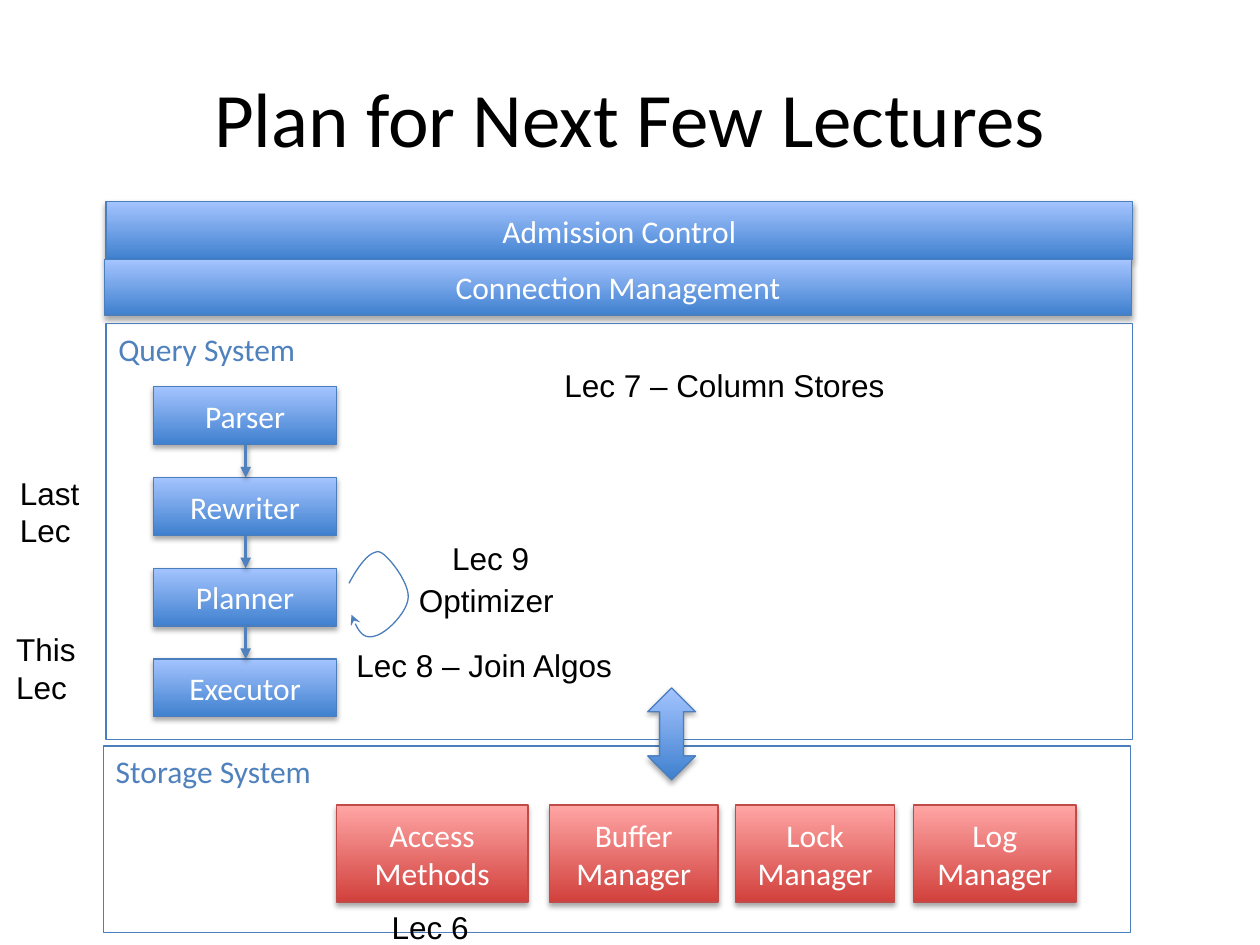
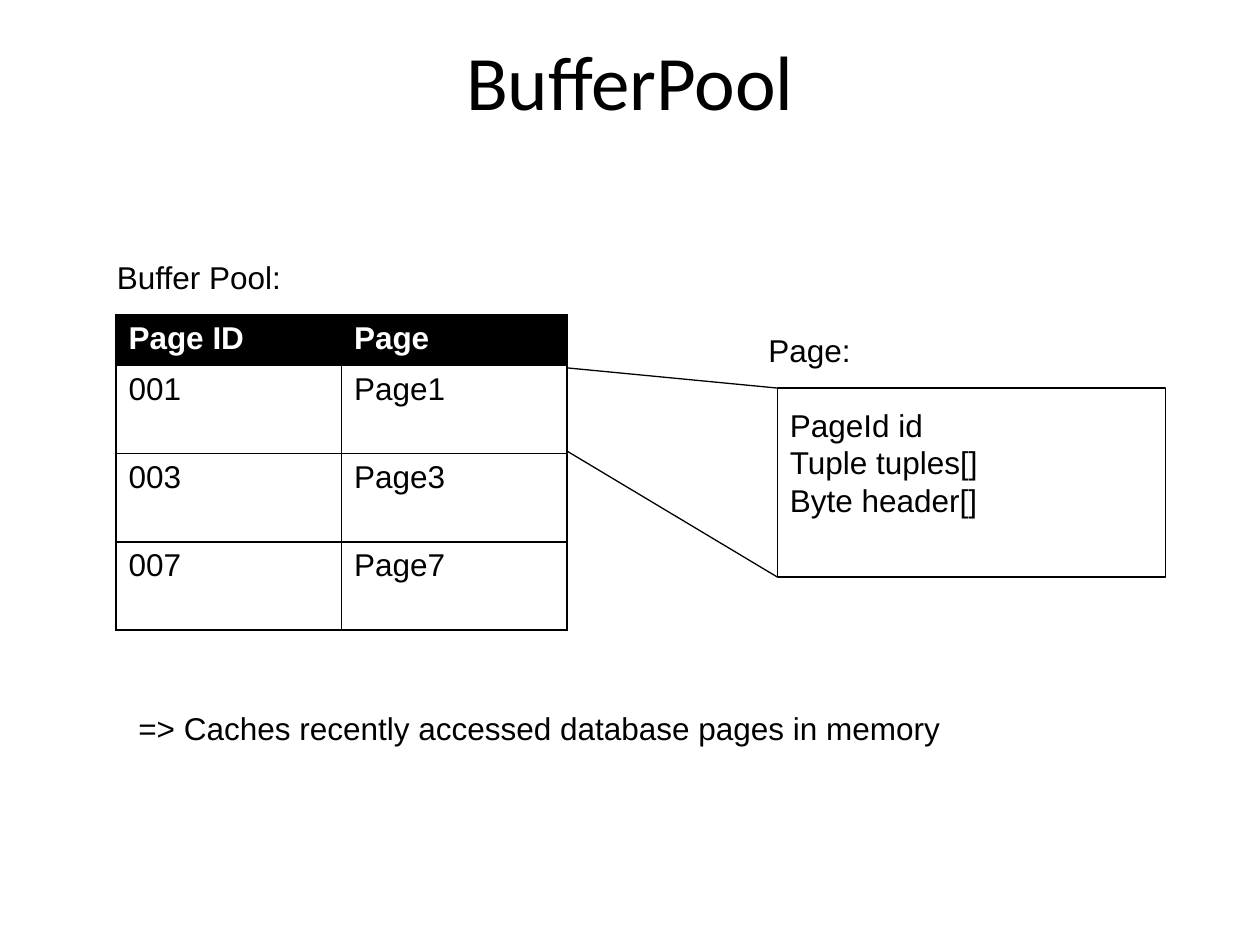
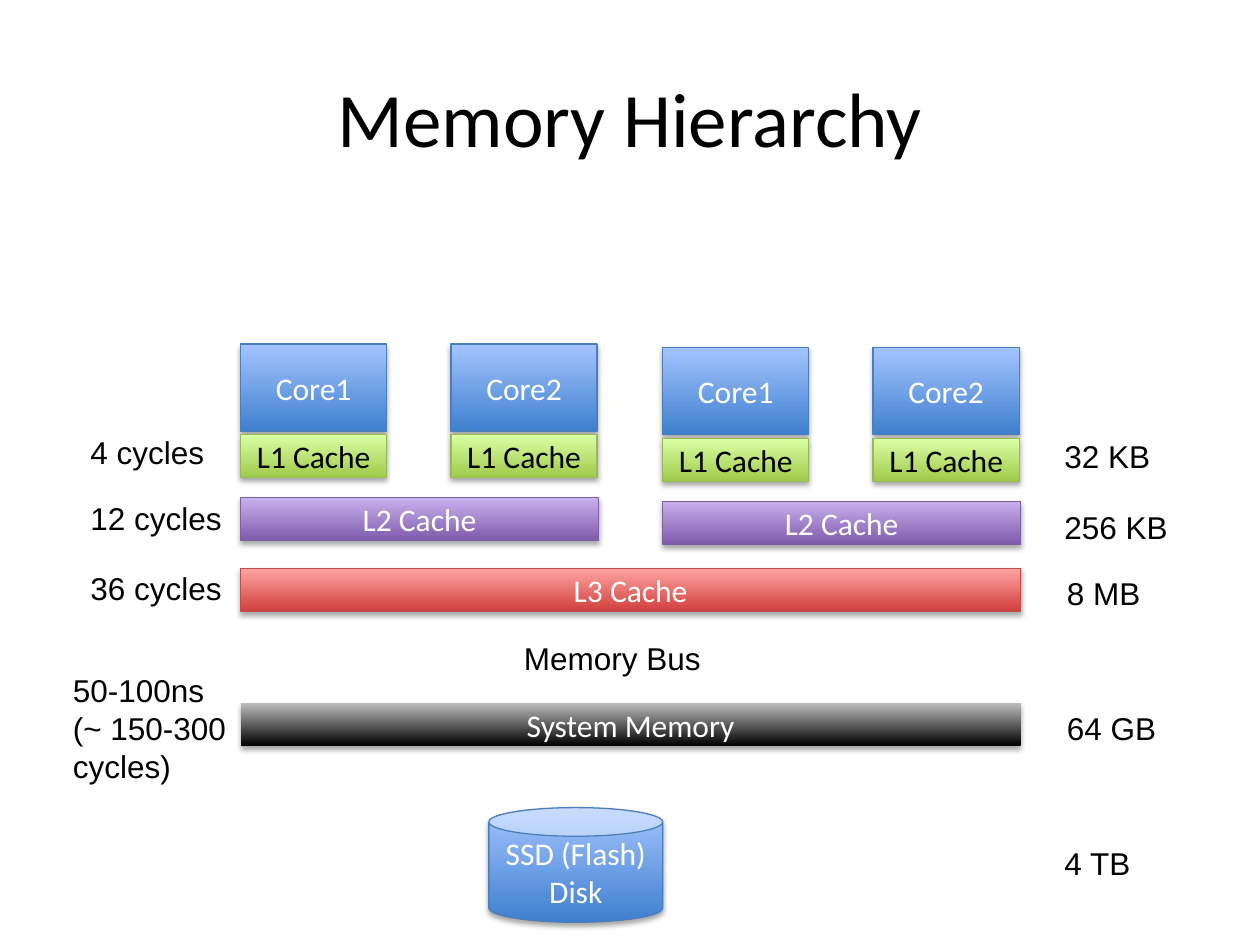
import dataclasses
import typing

import lxml.etree
import pptx
import pptx.dml.color
import pptx.enum.shapes
import pptx.enum.text
import pptx.oxml.ns
import pptx.util

Inches = pptx.util.Inches
Pt = pptx.util.Pt
Shapes = pptx.enum.shapes.MSO_SHAPE
Align = pptx.enum.text.PP_ALIGN
Anchor = pptx.enum.text.MSO_ANCHOR
AutoSize = pptx.enum.text.MSO_AUTO_SIZE

COLOURS = {
    "black": "000000", "white": "FFFFFF", "accent": "4F81BD",
    "blue line": "4B7EBC", "blue dark": "3F80CE", "blue light": "A4C4FF",
    "red line": "BF4C48", "red dark": "D1403C", "red light": "FFA6A5",
    "green line": "98B955", "green dark": "A0CA4A", "green light": "DAFFA5",
    "purple line": "7D60A0", "purple dark": "7F5BAB", "purple light": "C8B0ED",
    "grey dark": "000000", "grey light": "BDBDBD",
}
TITLE = {"name": "Calibri", "size": Pt(44)}
BLOCK = {"name": "Calibri", "size": Pt(18)}
LABEL = {"name": "Arial", "size": Pt(18)}
HEADER = {**LABEL, "bold": True}


@dataclasses.dataclass
class Block:
    text: str
    left: float
    top: float
    width: float
    height: float
    hue: str = "blue"
    font_colour: str = "white"
    kind: typing.Any = Shapes.RECTANGLE


@dataclasses.dataclass
class Frame:
    text: str
    left: float
    top: float
    width: float
    height: float
    line: str = "blue line"


@dataclasses.dataclass
class Label:
    text: str
    left: float
    top: float
    width: float
    height: float = 0.4
    wrap: bool = True
    align: typing.Any = Align.LEFT


@dataclasses.dataclass
class Line:
    start: tuple[float, float]
    end: tuple[float, float]
    colour: str = "black"
    width: float = 0.75
    arrow: bool = False


def rgb(name: str):
    return pptx.dml.color.RGBColor.from_string(COLOURS[name])


def assign(target, values: dict) -> None:
    for name, value in values.items():
        setattr(target, name, value)


def add_child(parent, tag: str, **attributes: str):
    return lxml.etree.SubElement(parent, pptx.oxml.ns.qn(tag), attributes)


def write(frame, text: str, font: dict, colour: str, align=Align.LEFT, spacing: float = 1.0) -> None:
    for index, line in enumerate(text.split("\n")):
        para = frame.add_paragraph() if index else frame.paragraphs[0]
        assign(para, {"alignment": align, "line_spacing": spacing})
        span = para.add_run()
        span.text = line
        assign(span.font, font)
        span.font.color.rgb = rgb(colour)


def set_line(line, colour: str, width: float, tail: str = "") -> None:
    line.color.rgb = rgb(colour)
    line.width = Pt(width)
    if tail:
        add_child(line._get_or_add_ln(), "a:tailEnd", type=tail)


def add_shadow(effects, alpha: int, distance: float) -> None:
    shadow = add_child(effects, "a:outerShdw", blurRad=str(Pt(3.1)), dist=str(Pt(distance)),
                       dir="5400000", rotWithShape="0")
    colour = add_child(shadow, "a:srgbClr", val=COLOURS["black"])
    add_child(colour, "a:alpha", val=str(alpha * 1000))


def add_outline(page, kind, item: Block | Frame):
    shape = page.shapes.add_shape(kind, *map(Inches, (item.left, item.top, item.width, item.height)))
    shape.shadow.inherit = False
    shape.text_frame.word_wrap = True
    return shape


def draw_block(page, block: Block) -> None:
    shape = add_outline(page, block.kind, block)
    shape.fill.gradient()
    shape.fill.gradient_angle = 90
    for stop, shade in zip(shape.fill.gradient_stops, ("dark", "light")):
        stop.color.rgb = rgb(f"{block.hue} {shade}")
    if f"{block.hue} line" in COLOURS:
        set_line(shape.line, f"{block.hue} line", 0.75)
    else:
        shape.line.fill.background()
    add_shadow(shape._element.spPr.find(pptx.oxml.ns.qn("a:effectLst")), 35, 1.8)
    shape.text_frame.vertical_anchor = Anchor.MIDDLE
    if block.text:
        write(shape.text_frame, block.text, BLOCK, block.font_colour, Align.CENTER)


def draw_frame(page, frame: Frame) -> None:
    shape = add_outline(page, Shapes.RECTANGLE, frame)
    shape.fill.background()
    set_line(shape.line, frame.line, 0.75)
    shape.text_frame.vertical_anchor = Anchor.TOP
    if frame.text:
        write(shape.text_frame, frame.text, BLOCK, "accent")


def draw_label(page, label: Label) -> None:
    box = page.shapes.add_textbox(*map(Inches, (label.left, label.top, label.width, label.height)))
    assign(box.text_frame, {"word_wrap": label.wrap, "auto_size": AutoSize.SHAPE_TO_FIT_TEXT})
    write(box.text_frame, label.text, LABEL, "black", label.align)


def draw_line(page, line: Line) -> None:
    connector = page.shapes.add_connector(pptx.enum.shapes.MSO_CONNECTOR.STRAIGHT,
                                          *map(Inches, (*line.start, *line.end)))
    set_line(connector.line, line.colour, line.width, "triangle" if line.arrow else "")
    effects = add_child(connector._element.spPr, "a:effectLst")
    if line.arrow:
        add_shadow(effects, 38, 1.6)


def draw_all(page, items: list) -> None:
    painters = {Block: draw_block, Frame: draw_frame, Label: draw_label, Line: draw_line}
    for item in items:
        painters[type(item)](page, item)


def add_page(deck, title: str, left: float = 0.5, top: float = 0.3, width: float = 9,
             height: float = 1.25, spacing: float = 1.0):
    page = deck.slides.add_slide(deck.slide_layouts[6])
    box = page.shapes.add_textbox(*map(Inches, (left, top, width, height)))
    assign(box.text_frame, {"word_wrap": True, "vertical_anchor": Anchor.MIDDLE})
    write(box.text_frame, title, TITLE, "black", Align.CENTER, spacing)
    return page


def bezier(points: tuple, share: float) -> tuple[int, int]:
    rest = 1 - share
    weights = (rest**3, 3 * rest**2 * share, 3 * rest * share**2, share**3)
    return tuple(Inches(sum(weight * point[axis] for weight, point in zip(weights, points)))
                 for axis in (0, 1))


def draw_planner_loop(page) -> None:
    knots = [(2.77, 4.63), (2.84, 4.5), (2.93, 4.37), (3.01, 4.38), (3.08, 4.4), (3.25, 4.63),
             (3.24, 4.74), (3.24, 4.85), (3.07, 5.03), (2.97, 5.05), (2.87, 5.08), (2.83, 4.98),
             (2.79, 4.88)]
    steps = 12
    curve = [bezier(knots[first:first + 4], step / steps)
             for first in range(0, len(knots) - 1, 3) for step in range(1, steps + 1)]
    builder = page.shapes.build_freeform(*map(Inches, knots[0]))
    builder.add_line_segments(curve, close=False)
    loop = builder.convert_to_shape()
    loop.shadow.inherit = False
    loop.fill.background()
    set_line(loop.line, "blue line", 0.75, "stealth")


def draw_table(page, rows: list[tuple[str, str]]) -> None:
    table = page.shapes.add_table(len(rows), 2, *map(Inches, (0.92, 2.5, 3.58, 2.5))).table
    for column in table.columns:
        column.width = Inches(1.79)
    for row_index, texts in enumerate(rows):
        header = row_index == 0
        table.rows[row_index].height = Inches(0.4 if header else 0.7)
        for column_index, text in enumerate(texts):
            cell = table.cell(row_index, column_index)
            properties = cell._tc.get_or_add_tcPr()
            for side in "LRTB":
                border = add_child(properties, f"a:ln{side}", w=str(Pt(1)))
                add_child(add_child(border, "a:solidFill"), "a:srgbClr", val=COLOURS["black"])
            cell.fill.solid()
            cell.fill.fore_color.rgb = rgb("black" if header else "white")
            write(cell.text_frame, text, HEADER if header else LABEL, "white" if header else "black")


def build_plan(deck) -> None:
    page = add_page(deck, "Plan for Next Few Lectures")
    draw_all(page, [
        Block("Admission Control", 0.84, 1.6, 8.15, 0.46),
        Block("Connection Management", 0.83, 2.06, 8.15, 0.44),
        Frame("Query System", 0.84, 2.57, 8.15, 3.3),
        Frame("Storage System", 0.82, 5.92, 8.15, 1.48),
    ])
    stages, top, pitch, height = ("Parser", "Rewriter", "Planner", "Executor"), 3.07, 0.72, 0.46
    draw_all(page, [Block(stage, 1.22, top + index * pitch, 1.45, height)
                    for index, stage in enumerate(stages)])
    draw_all(page, [Line((1.95, top + index * pitch + height), (1.95, top + (index + 1) * pitch),
                         "accent", 2, True) for index in range(len(stages) - 1)])
    draw_planner_loop(page)
    managers = [("Access Methods", 2.67, 1.52), ("Buffer Manager", 4.36, 1.34),
                ("Lock Manager", 5.84, 1.26), ("Log Manager", 7.25, 1.29)]
    draw_all(page, [Block(name, left, 6.39, width, 0.77, "red") for name, left, width in managers])
    draw_all(page, [
        Block("", 5.14, 5.46, 0.38, 0.73, kind=Shapes.UP_DOWN_ARROW),
        Label("Optimizer", 3.22, 4.56, 1.28, wrap=False, align=Align.CENTER),
        Label("This Lec", 0.03, 4.95, 0.98, 0.71),
        Label("Lec 6", 3.01, 7.16, 0.98),
        Label("Lec 9", 3.49, 4.23, 0.98),
        Label("Lec 7 – Column Stores", 4.38, 2.86, 3.01),
        Label("Lec 8 – Join Algos", 2.73, 5.08, 2.25, wrap=False),
        Label("Last Lec", 0.06, 3.71, 0.98, 0.71),
    ])


def build_buffer_pool(deck) -> None:
    page = add_page(deck, "BufferPool", 0.75, 0.17, 8.5, 1, 0.93)
    draw_all(page, [
        Label("Buffer Pool:", 0.83, 2, 1.95, 0.51, wrap=False),
        Frame("", 6.17, 3.08, 3.08, 1.5, "black"),
        Label("Page:", 6, 2.58, 1.08, 0.51, wrap=False),
        Label("PageId id\nTuple tuples[]\nByte header[]", 6.17, 3.17, 3.08, 1.31),
    ])
    draw_table(page, [("Page ID", "Page"), ("001", "Page1"), ("003", "Page3"), ("007", "Page7")])
    draw_all(page, [
        Line((4.5, 3.58), (6.17, 4.58)),
        Line((4.5, 2.92), (6.17, 3.08)),
        Label("=> Caches recently accessed database pages in memory", 1, 5.58, 8.17, 0.91),
    ])


def build_memory_hierarchy(deck) -> None:
    page = add_page(deck, "Memory Hierarchy")
    bar = 0.34
    for left, top in ((1.91, 2.73), (5.26, 2.76)):
        for index, core in enumerate(("Core1", "Core2")):
            core_left = left + index * 1.67
            draw_all(page, [
                Block(core, core_left, top, 1.16, 0.69),
                Block("L1 Cache", core_left, top + 0.72, 1.16, bar, "green", "black"),
            ])
        draw_block(page, Block("L2 Cache", left, top + 1.22, 2.84, bar, "purple"))
    draw_all(page, [
        Block("L3 Cache", 1.91, 4.51, 6.19, bar, "red"),
        Block("System Memory", 1.91, 5.58, 6.19, bar, "grey"),
        Label("Memory Bus", 4.06, 5.02, 1.87),
        Block("SSD (Flash) Disk", 3.88, 6.41, 1.38, 0.91, kind=Shapes.CAN),
        Label("50-100ns\n(~ 150-300 cycles)", 0.48, 5.28, 1.54, 1.01),
    ])
    sizes = [("32 KB", 8.35, 3.42), ("256 KB", 8.35, 3.98), ("8 MB", 8.37, 4.51),
             ("64 GB", 8.37, 5.58), ("4 TB", 8.35, 6.65)]
    delays = [("4 cycles", 0.62, 3.39), ("12 cycles", 0.62, 3.91), ("36 cycles", 0.62, 4.47)]
    draw_all(page, [Label(text, left, top, 1.54) for text, left, top in sizes + delays])


def main() -> None:
    deck = pptx.Presentation()
    assign(deck, {"slide_width": Inches(10), "slide_height": Inches(7.5)})
    build_plan(deck)
    build_buffer_pool(deck)
    build_memory_hierarchy(deck)
    deck.save("out.pptx")


if __name__ == "__main__":
    main()
